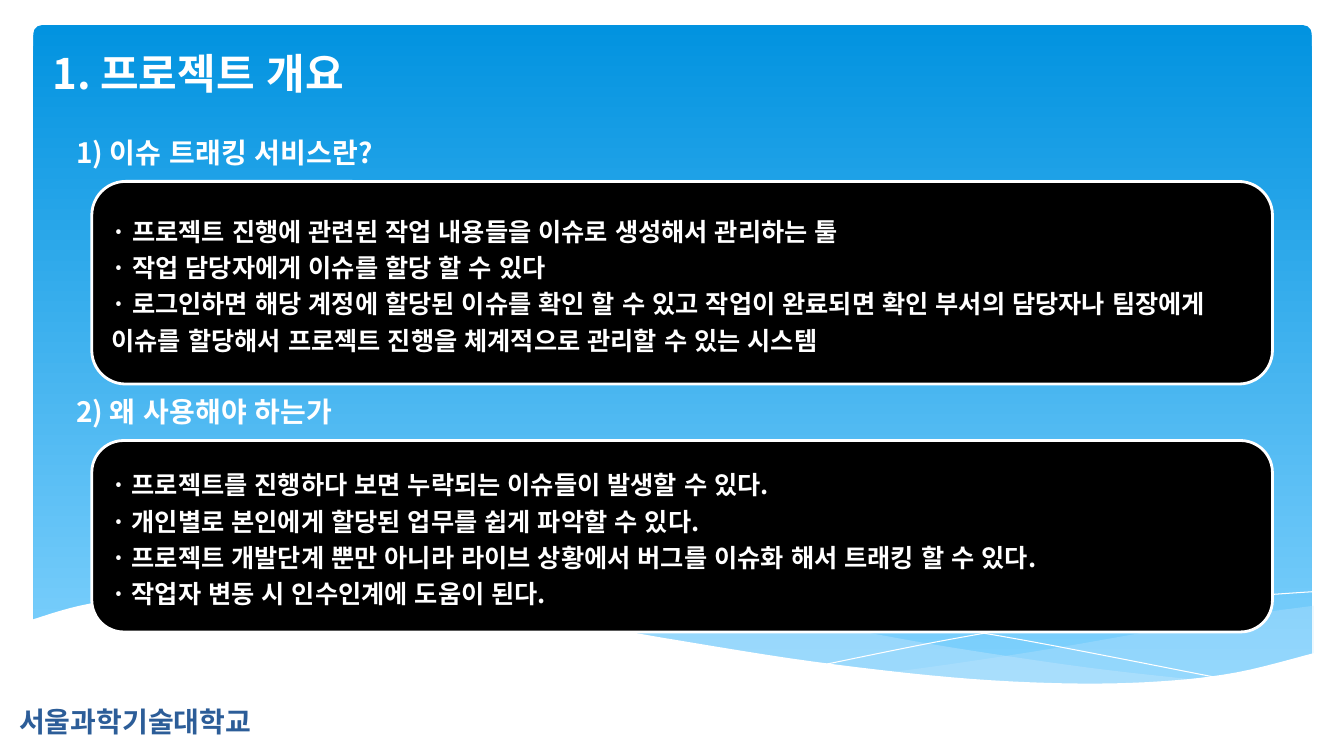
from dataclasses import dataclass
from typing import Optional

from lxml import etree
from pptx import Presentation
from pptx import util as u
from pptx.dml.color import RGBColor
from pptx.enum import lang, shapes, text
from pptx.oxml.ns import qn

FONT = "Noto Sans CJK KR"
WHITE, BLACK, NAVY = "FFFFFF", "000000", "2C5D98"
SKY_TOP, SKY_BOTTOM, MIST = "0293E0", "83D3FE", "C6E7FC"

deck = Presentation()
deck.slide_width, deck.slide_height = u.Inches(13.33), u.Inches(7.5)
page = deck.slides.add_slide(deck.slide_layouts[6])

Point = tuple[float, float]


@dataclass
class Area:
    """A rectangle in percent of the slide's width and height."""
    left: float
    top: float
    width: float
    height: float


@dataclass
class Wave:
    """Curves through knots, joined end to end; open when it has no fill."""
    curves: list[list[Point]]
    fill: Optional[str] = None
    opacity: int = 100


@dataclass
class Label:
    words: str
    area: Area
    size: int
    color: str = WHITE


@dataclass
class Section:
    heading: str
    top: float
    height: float
    points: list[str]


def across(share: float) -> int:
    return round(deck.slide_width * share / 100)


def down(share: float) -> int:
    return round(deck.slide_height * share / 100)


def place(area: Area) -> tuple[int, int, int, int]:
    return across(area.left), down(area.top), across(area.width), down(area.height)


def rgb(color: str) -> RGBColor:
    return RGBColor.from_string(color)


def smooth(knots: list[Point], steps: int = 6) -> list[Point]:
    """Catmull-Rom curve through the knots."""
    ends = [knots[0], *knots, knots[-1]]
    curve = [knots[0]]
    for a, b, c, d in zip(ends, ends[1:], ends[2:], ends[3:]):
        for step in range(1, steps + 1):
            t = step / steps
            curve.append(tuple(
                q + t / 2 * (r - p + t * (2 * p - 5 * q + 4 * r - s
                                          + t * (3 * (q - r) + s - p)))
                for p, q, r, s in zip(a, b, c, d)))
    return curve


def add_wave(wave: Wave) -> None:
    start, *rest = [(across(x), down(y)) for knots in wave.curves for x, y in smooth(knots)]
    builder = page.shapes.build_freeform(*start)
    builder.add_line_segments(rest, close=wave.fill is not None)
    shape = builder.convert_to_shape()
    shape.shadow.inherit = False
    if wave.fill is None:
        shape.fill.background()
        shape.line.color.rgb = rgb(WHITE)
        shape.line.width = u.Pt(0)
        return
    shape.line.fill.background()
    shape.fill.solid()
    shape.fill.fore_color.rgb = rgb(wave.fill)
    if wave.opacity < 100:
        tint = shape.fill._xPr.find(qn("a:solidFill"))[0]
        etree.SubElement(tint, qn("a:alpha"), val=str(wave.opacity * 1000))


def add_span(para, words: str, size: int, color: str) -> None:
    span = para.add_run()
    span.text = words
    font = span.font
    font.name, font.size, font.bold = FONT, u.Pt(size), True
    font.color.rgb = rgb(color)
    font.language_id = lang.MSO_LANGUAGE_ID.KOREAN
    etree.SubElement(span._r.get_or_add_rPr(), qn("a:ea"), typeface=FONT)


def add_label(label: Label) -> None:
    frame = page.shapes.add_textbox(*place(label.area)).text_frame
    frame.word_wrap = True
    para = frame.paragraphs[0]
    para.line_spacing, para.space_before = 0.9, u.Pt(10)
    add_span(para, label.words, label.size, label.color)


def add_round_box(area: Area):
    box = page.shapes.add_shape(shapes.MSO_SHAPE.ROUNDED_RECTANGLE, *place(area))
    box.shadow.inherit = False
    return box


def add_section(section: Section) -> None:
    add_label(Label(section.heading, Area(4.95, section.top - 6.27, 31.5, 7.47), 20))
    box = add_round_box(Area(6.83, section.top, 87.85, section.height))
    box.fill.solid()
    box.fill.fore_color.rgb = rgb(BLACK)
    box.line.color.rgb = rgb(WHITE)
    box.line.width = u.Pt(2)
    frame = box.text_frame
    frame.word_wrap = True
    frame.vertical_anchor = text.MSO_ANCHOR.MIDDLE
    for index, point in enumerate(section.points):
        para = frame.add_paragraph() if index else frame.paragraphs[0]
        para.alignment, para.line_spacing = text.PP_ALIGN.LEFT, 1.2
        add_span(para, f"· {point}", 18, WHITE)


# Sky panel
sky = add_round_box(Area(2.48, 3.33, 95.12, 88))
sky.adjustments[0] = 0.013
sky.line.fill.background()
sky.fill.gradient()
sky.fill.gradient_angle = 270
for stop, position, color in zip(sky.fill.gradient_stops, (0, 1), (SKY_TOP, SKY_BOTTOM)):
    stop.position, stop.color.rgb = position, rgb(color)

# Waves along the foot of the panel
WAVES = [
    Wave([[(97.75, 80.13), (92.2, 81.47), (86.2, 83.33), (78.02, 85.87), (70.67, 87.87),
           (66.24, 88.93)],
          [(66.24, 88.93), (73.29, 90.13), (80.42, 90.67), (87.32, 90.13), (92.95, 88.67),
           (97.75, 86.53)]], MIST, 29),
    Wave([[(89.42, 90), (80.8, 88.27), (70.67, 85.6), (63.02, 83.2), (55.59, 80.93),
           (48.91, 79.47), (42.09, 78.53), (36.16, 78.27), (28.66, 79.07)],
          [(28.66, 79.07), (36.31, 80.53), (45.01, 83.2), (56.71, 86.67), (66.62, 89.07),
           (74.94, 90.4), (81.92, 90.67), (89.42, 90)]], MIST, 40),
    Wave([[(30.98, 79.6), (34.43, 78.93), (40.21, 78.53), (46.96, 78.67), (55.74, 79.73),
           (66.62, 82), (76.14, 84.67), (90.85, 89.73)]]),
    Wave([[(61.44, 87.87), (69.62, 84.93), (77.79, 82.4), (86.72, 80), (92.5, 78.93),
           (97.67, 78.27)]]),
    Wave([[(97.75, 86.4), (92.05, 88.93), (86.35, 90.13), (79.37, 90.4), (70.82, 89.6),
           (60.32, 87.47), (50.34, 84.67), (44.71, 82.93), (36.46, 80.53), (27.08, 78.67),
           (17.63, 78.13), (10.65, 78.8), (5.93, 80.13), (2.33, 82)],
          [(2.33, 97.47), (97.75, 97.47)]], WHITE),
]
for wave in WAVES:
    add_wave(wave)

# Footer and title
add_label(Label("서울과학기술대학교", Area(0.68, 93.07, 35.78, 5.73), 20, NAVY))
add_label(Label("1. 프로젝트 개요", Area(3.15, 6.4, 28.28, 7.87), 30))

# Headed boxes
SECTIONS = [
    Section("1) 이슈 트래킹 서비스란?", 24, 26.8, [
        "프로젝트 진행에 관련된 작업 내용들을 이슈로 생성해서 관리하는 툴",
        "작업 담당자에게 이슈를 할당 할 수 있다",
        "로그인하면 해당 계정에 할당된 이슈를 확인 할 수 있고 작업이 완료되면 확인 부서의 "
        "담당자나 팀장에게 이슈를 할당해서 프로젝트 진행을 체계적으로 관리할 수 있는 시스템",
    ]),
    Section("2) 왜 사용해야 하는가", 58.27, 25.33, [
        "프로젝트를 진행하다 보면 누락되는 이슈들이 발생할 수 있다.",
        "개인별로 본인에게 할당된 업무를 쉽게 파악할 수 있다.",
        "프로젝트 개발단계 뿐만 아니라 라이브 상황에서 버그를 이슈화 해서 트래킹 할 수 있다.",
        "작업자 변동 시 인수인계에 도움이 된다.",
    ]),
]
for section in SECTIONS:
    add_section(section)

deck.save("out.pptx")
